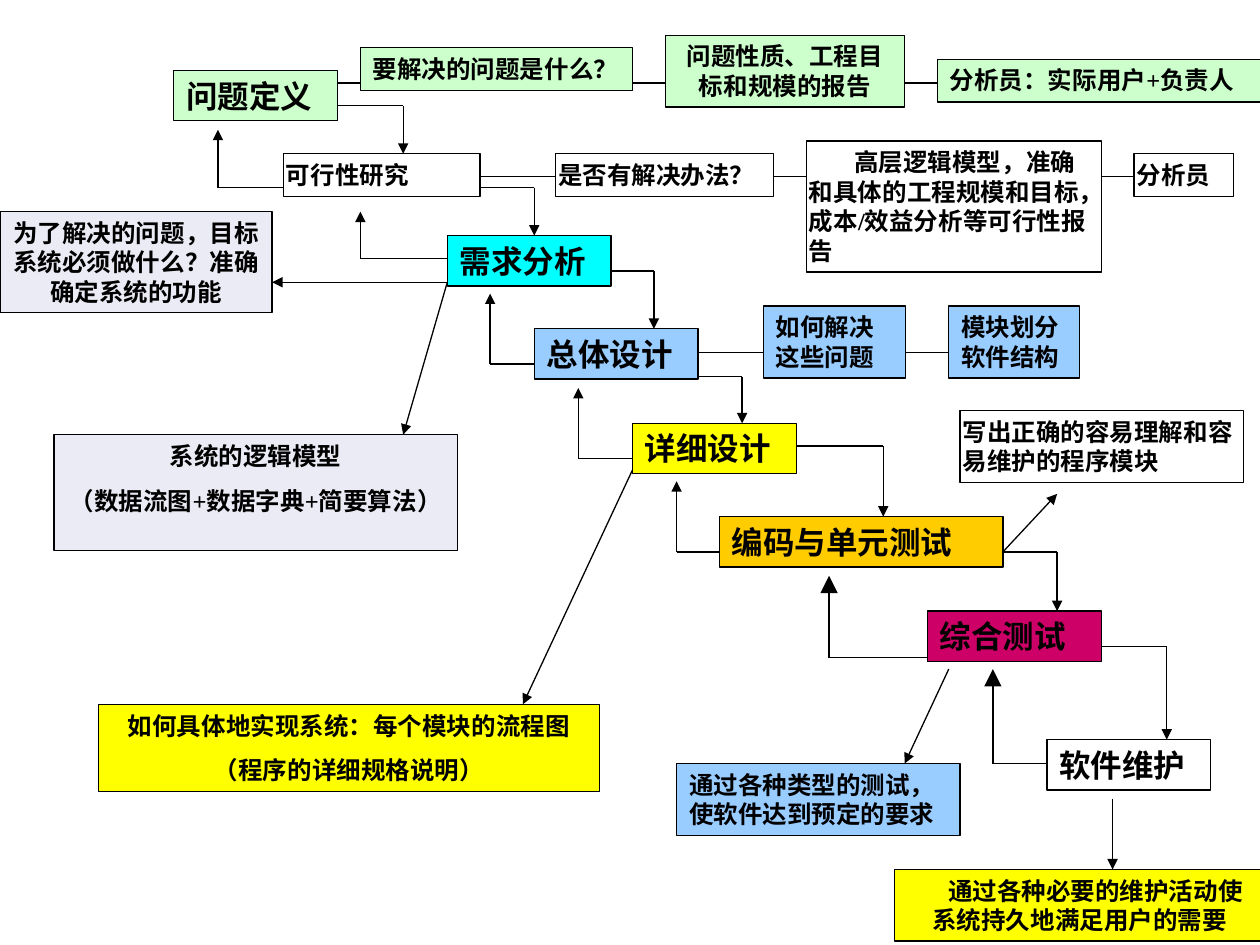
from lxml import etree
from pptx import Presentation, util as u
from pptx.dml.color import RGBColor
from pptx.enum import shapes, text
from pptx.oxml.ns import qn

FONT = "Times New Roman"
BLACK, WHITE, GREEN, BLUE = "000000", "FFFFFF", "CCFFCC", "99CCFF"
YELLOW, LILAC = "FFFF00", "EBEBF5"

# Stages of the life cycle: text, left, top, width, fill, size, side inset
STAGES = [
    ("问题定义", 1.38, 0.56, 1.3, GREEN, 18, 0.1),
    ("可行性研究", 2.25, 1.22, 1.56, WHITE, 14, 0.02),
    ("需求分析", 3.55, 1.87, 1.3, "00FFFF", 18, 0.1),
    ("总体设计", 4.24, 2.61, 1.3, BLUE, 18, 0.1),
    ("详细设计", 5.02, 3.36, 1.3, YELLOW, 18, 0.1),
    ("编码与单元测试", 5.71, 4.1, 2.25, "FFCC00", 18, 0.1),
    ("综合测试", 7.36, 4.85, 1.38, "CC0066", 18, 0.1),
    ("软件维护", 8.31, 5.87, 1.3, WHITE, 18, 0.1),
]
# Forward step after each stage: start height, turning point
FORWARD = [(0.84, 3.2), (1.49, 4.24), (2.15, 5.19), (2.99, 5.89),
           (3.54, 7.01), (4.38, 8.39), (5.13, 9.26)]
# Way back from each next stage: start height, turning point, end, arrow size
BACK = [(1.49, 1.73, 1.03, "med"), (2.05, 2.86, 1.68, "med"),
        (2.89, 3.89, 2.33, "med"), (3.64, 4.59, 3.08, "med"),
        (4.38, 5.37, 3.82, "med"), (5.22, 6.58, 4.57, "lg"),
        (6.06, 7.88, 5.31, "lg")]

# Notes: paragraphs, left, top, width, height, fill, then options
NOTES = [
    (["要解决的问题是什么？"], 2.86, 0.38, 2.16, 0.34, GREEN, {}),
    (["问题性质、工程目标和规模的报告"], 5.28, 0.28, 1.9, 0.57, GREEN, {"center": True}),
    (["分析员：实际用户+负责人"], 7.44, 0.47, 2.6, 0.34, GREEN, {}),
    (["是否有解决办法？"], 4.41, 1.22, 1.73, 0.34, WHITE, {"inset": 0.02}),
    (["分析员"], 9, 1.22, 0.79, 0.34, WHITE, {"inset": 0.02}),
    (["高层逻辑模型，准确和具体的工程规模和目标，成本/效益分析等可行性报告"],
     6.4, 1.12, 2.34, 1.04, WHITE, {"inset": 0.02, "indent": 0.36}),
    (["为了解决的问题，目标系统必须做什么？准确确定系统的功能"],
     0, 1.68, 2.16, 0.8, LILAC, {"center": True}),
    (["系统的逻辑模型", "（数据流图+数据字典+简要算法）"],
     0.43, 3.45, 3.2, 0.92, LILAC, {"center": True}),
    (["如何解决这些问题"], 6.06, 2.43, 1.13, 0.57, BLUE, {}),
    (["模块划分软件结构"], 7.53, 2.43, 1.04, 0.57, BLUE, {}),
    (["如何具体地实现系统：每个模块的流程图", "（程序的详细规格说明）"],
     0.78, 5.59, 3.98, 0.69, YELLOW, {"center": True}),
    (["通过各种类型的测试，使软件达到预定的要求"], 5.37, 6.06, 2.25, 0.57, BLUE, {}),
    (["写出正确的容易理解和容易维护的程序模块"],
     7.62, 3.26, 2.25, 0.57, WHITE, {"inset": 0.02}),
    (["通过各种必要的维护活动使系统持久地满足用户的需要"],
     7.1, 6.9, 2.94, 0.57, YELLOW, {"center": True, "indent": 0.25}),
]
# Plain links lie behind the boxes; arrows lead from stages to their notes
LINKS = [(5.54, 2.8, 7.53, 2.8), (3.81, 1.4, 9, 1.4), (2.68, 0.66, 7.7, 0.66)]
NOTE_ARROWS = [(3.55, 2.24, 2.16, 2.24), (3.55, 2.24, 3.2, 3.45),
               (5.02, 3.73, 4.15, 5.59), (7.96, 4.38, 8.39, 3.92),
               (7.53, 5.31, 7.18, 6.06), (8.83, 6.34, 8.83, 6.9)]


def color(value):
    return RGBColor.from_string(value)


def add_line(s, x1, y1, x2, y2, arrow=None):
    """Straight line; arrow is the size of the head at its end."""
    c = s.shapes.add_connector(shapes.MSO_CONNECTOR.STRAIGHT,
                               *map(u.Inches, (x1, y1, x2, y2)))
    c.line.color.rgb = color(BLACK)
    c.line.width = u.Pt(0.75)
    if arrow:
        etree.SubElement(c.line._get_or_add_ln(), qn("a:tailEnd"),
                         type="triangle", w=arrow, len=arrow)
    etree.SubElement(c._element.spPr, qn("a:effectLst"))


def add_step(s, x1, y1, x2, y2, arrow="med"):
    """Horizontal line, then a vertical arrow."""
    add_line(s, x1, y1, x2, y1)
    add_line(s, x2, y1, x2, y2, arrow)


def add_box(s, lines, x, y, w, h, fill, size=14, inset=0.1, center=False, indent=0):
    sp = s.shapes.add_shape(shapes.MSO_SHAPE.RECTANGLE,
                            *map(u.Inches, (x, y, w, h)))
    sp.shadow.inherit = False
    sp.fill.solid()
    sp.fill.fore_color.rgb = color(fill)
    sp.line.color.rgb = color(BLACK)
    sp.line.width = u.Pt(0.75)
    tf = sp.text_frame
    tf.word_wrap = True
    tf.auto_size = text.MSO_AUTO_SIZE.SHAPE_TO_FIT_TEXT
    tf.vertical_anchor = text.MSO_ANCHOR.TOP
    tf.margin_left = tf.margin_right = u.Inches(inset)
    tf.margin_top = tf.margin_bottom = u.Inches(0.05)
    for i, line in enumerate(lines):
        p = tf.add_paragraph() if i else tf.paragraphs[0]
        p.alignment = text.PP_ALIGN.CENTER if center else text.PP_ALIGN.LEFT
        if i:
            p.space_before = u.Pt(8.8)
        if indent:
            p._p.get_or_add_pPr().set("indent", str(u.Inches(indent)))
        r = p.add_run()
        r.text = line
        r.font.name = FONT
        r.font.size = u.Pt(size)
        r.font.bold = True
        r.font.color.rgb = color(BLACK)


def main():
    prs = Presentation()
    prs.slide_width, prs.slide_height = u.Inches(10), u.Inches(7.5)
    s = prs.slides.add_slide(prs.slide_layouts[6])

    # Links behind the boxes
    for link in LINKS:
        add_line(s, *link)

    # Stages
    for name, x, y, w, fill, size, inset in STAGES:
        add_box(s, [name], x, y, w, 0.4 if size == 18 else 0.34, fill, size, inset)

    # Steps down to the next stage and back up
    for stage, following, (y, turn), (back_y, back_turn, end, arrow) in zip(
            STAGES, STAGES[1:], FORWARD, BACK):
        add_step(s, stage[1] + stage[3], y, turn, following[2])
        add_step(s, following[1], back_y, back_turn, end, arrow)

    # Notes and their arrows
    for *box, options in NOTES:
        add_box(s, *box, **options)
    for arrow in NOTE_ARROWS:
        add_line(s, *arrow, arrow="med")

    prs.save("out.pptx")


if __name__ == "__main__":
    main()
